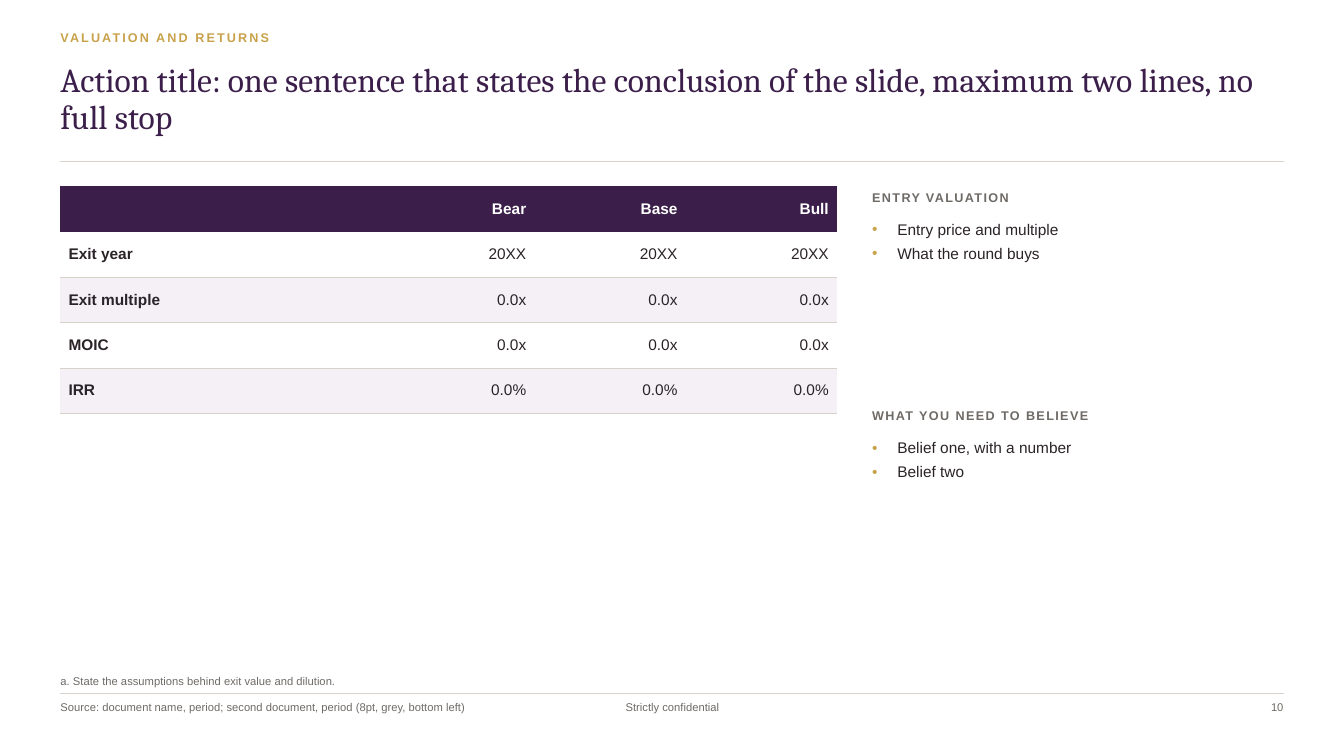
from pptx import Presentation
from pptx.dml.color import RGBColor
from pptx.enum.shapes import MSO_CONNECTOR
from pptx.enum.text import MSO_ANCHOR, PP_ALIGN
from pptx.oxml.ns import qn
from pptx.util import Inches, Pt
from lxml import etree

LEFT, CENTER, RIGHT = PP_ALIGN.LEFT, PP_ALIGN.CENTER, PP_ALIGN.RIGHT
TOP, MIDDLE, BOTTOM = MSO_ANCHOR.TOP, MSO_ANCHOR.MIDDLE, MSO_ANCHOR.BOTTOM
STRAIGHT = MSO_CONNECTOR.STRAIGHT

PLUM, GOLD, INK, GREY = "3B1F4A", "C8A24A", "2A2328", "6E6A66"
RULE, BAND, WHITE = "D8D2CA", "F4F0F6", "FFFFFF"

MARGIN, CONTENT_WIDTH = 0.6, 12.13
SIDE_LEFT, SIDE_WIDTH = 8.65, 4.08
FOOTER_TOP = 6.95

COLUMN_WIDTHS = [3.2, 1.5, 1.5, 1.5]
ROW_HEIGHT = 0.45
RETURNS = [
    ["", "Bear", "Base", "Bull"],
    ["Exit year", "20XX", "20XX", "20XX"],
    ["Exit multiple", "0.0x", "0.0x", "0.0x"],
    ["MOIC", "0.0x", "0.0x", "0.0x"],
    ["IRR", "0.0%", "0.0%", "0.0%"],
]
SIDE_SECTIONS = [
    (1.88, "ENTRY VALUATION", 2.18, 1.75,
     ["Entry price and multiple", "What the round buys"]),
    (4.05, "WHAT YOU NEED TO BELIEVE", 4.35, 2.05,
     ["Belief one, with a number", "Belief two"]),
]


def color(value):
    return RGBColor.from_string(value)


class SlideBuilder:
    def __init__(self, slide, font="Arial"):
        self.slide = slide
        self.font = font

    def span(self, para, text, size, ink, bold=False, spacing=0, font=None):
        """Add one run; spacing is the letter spacing in points."""
        span = para.add_run()
        span.text = text
        span.font.name = font or self.font
        span.font.size = Pt(size)
        span.font.bold = bold
        span.font.color.rgb = color(ink)
        if spacing:
            span.font._element.set("spc", str(int(spacing * 100)))

    def frame(self, left, top, width, height, anchor=TOP):
        box = self.slide.shapes.add_textbox(
            Inches(left), Inches(top), Inches(width), Inches(height))
        frame = box.text_frame
        frame.word_wrap = True
        frame.vertical_anchor = anchor
        frame.margin_left = frame.margin_right = 0
        frame.margin_top = frame.margin_bottom = 0
        return frame

    def text(self, place, text, size, ink, align=LEFT, anchor=TOP,
             line_spacing=None, **style):
        para = self.frame(*place, anchor=anchor).paragraphs[0]
        para.alignment = align
        para.line_spacing = line_spacing
        self.span(para, text, size, ink, **style)

    def bullets(self, place, items):
        frame = self.frame(*place)
        for index, item in enumerate(items):
            para = frame.add_paragraph() if index else frame.paragraphs[0]
            if index:
                para.space_before = Pt(4)
            props = para._p.get_or_add_pPr()
            props.set("marL", str(Inches(0.25)))
            props.set("indent", str(-Inches(0.25)))
            tint = etree.SubElement(props, qn("a:buClr"))
            etree.SubElement(tint, qn("a:srgbClr"), val=GOLD)
            etree.SubElement(props, qn("a:buFont"), typeface=self.font)
            etree.SubElement(props, qn("a:buChar"), char="•")
            self.span(para, item, 11, INK)

    def rule(self, top, weight):
        line = self.slide.shapes.add_connector(
            STRAIGHT, Inches(MARGIN), Inches(top),
            Inches(MARGIN + CONTENT_WIDTH), Inches(top))
        line.line.color.rgb = color(RULE)
        line.line.width = Pt(weight)
        etree.SubElement(line._element.spPr, qn("a:effectLst"))

    def borders(self, cell, bottom):
        """Clear all four cell borders, keeping a thin bottom rule if asked."""
        props = cell._tc.get_or_add_tcPr()
        for side in ("lnL", "lnR", "lnT", "lnB"):
            line = etree.SubElement(props, qn(f"a:{side}"))
            if side == "lnB" and bottom:
                line.set("w", str(Pt(0.5)))
                fill = etree.SubElement(line, qn("a:solidFill"))
                etree.SubElement(fill, qn("a:srgbClr"), val=RULE)
            else:
                line.set("w", "0")
                etree.SubElement(line, qn("a:noFill"))

    def cell(self, cell, text, row, column):
        header = row == 0
        self.borders(cell, bottom=not header)
        cell.fill.solid()
        banded = WHITE if row % 2 else BAND
        cell.fill.fore_color.rgb = color(PLUM if header else banded)
        cell.vertical_anchor = MIDDLE
        cell.margin_left = cell.margin_right = Inches(0.08)
        cell.margin_top = cell.margin_bottom = Inches(0.04)
        if text:
            para = cell.text_frame.paragraphs[0]
            para.alignment = RIGHT if column else LEFT
            self.span(para, text, 11, WHITE if header else INK,
                      bold=header or column == 0)

    def table(self, left, top, rows):
        table = self.slide.shapes.add_table(
            len(rows), len(COLUMN_WIDTHS), Inches(left), Inches(top),
            Inches(sum(COLUMN_WIDTHS)), Inches(ROW_HEIGHT * len(rows))).table
        for column, width in zip(table.columns, COLUMN_WIDTHS):
            column.width = Inches(width)
        for r, values in enumerate(rows):
            table.rows[r].height = Inches(ROW_HEIGHT)
            for c, value in enumerate(values):
                self.cell(table.cell(r, c), value, r, c)


def main():
    deck = Presentation()
    deck.slide_width, deck.slide_height = Inches(13.33), Inches(7.5)
    page = SlideBuilder(deck.slides.add_slide(deck.slide_layouts[6]))

    page.text((MARGIN, 0.3, 7, 0.25), "VALUATION AND RETURNS", 9, GOLD,
              bold=True, spacing=1.5)
    page.text((MARGIN, 0.62, CONTENT_WIDTH, 0.9),
              "Action title: one sentence that states the conclusion of the "
              "slide, maximum two lines, no full stop",
              24, PLUM, line_spacing=0.92, font="Cambria")
    page.rule(1.6, 0.75)

    page.table(MARGIN, 1.85, RETURNS)
    for heading_top, heading, list_top, list_height, items in SIDE_SECTIONS:
        page.text((SIDE_LEFT, heading_top, SIDE_WIDTH, 0.22), heading, 9, GREY,
                  bold=True, spacing=1)
        page.bullets((SIDE_LEFT, list_top, SIDE_WIDTH, list_height), items)

    page.text((MARGIN, 6.42, CONTENT_WIDTH, 0.4),
              "a. State the assumptions behind exit value and dilution.",
              8, GREY, anchor=BOTTOM)
    page.rule(6.88, 0.5)
    page.text((MARGIN, FOOTER_TOP, 5, 0.4),
              "Source: document name, period; second document, period "
              "(8pt, grey, bottom left)", 8, GREY)
    page.text((5.67, FOOTER_TOP, 2, 0.25), "Strictly confidential", 8, GREY,
              align=CENTER)
    page.text((11.73, FOOTER_TOP, 1, 0.25), "10", 8, GREY, align=RIGHT)

    deck.save("out.pptx")


if __name__ == "__main__":
    main()
